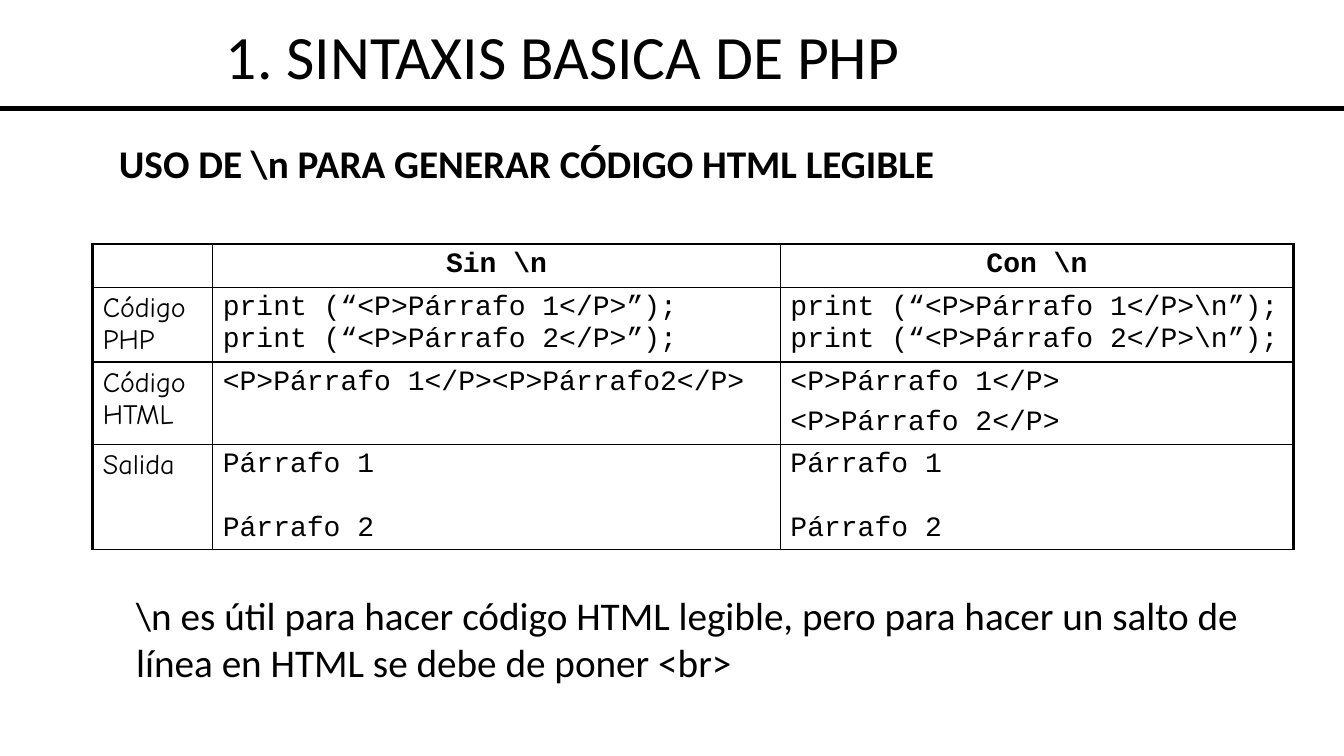
import pptx
import pptx.util
import pptx.dml.color
import pptx.enum.shapes
import pptx.enum.text
import pptx.oxml.ns
import lxml.etree

Inches, Pt = pptx.util.Inches, pptx.util.Pt
ALIGN = pptx.enum.text.PP_ALIGN
ANCHOR = pptx.enum.text.MSO_ANCHOR
qn = pptx.oxml.ns.qn

# Content
COLORS = {"ink": "000000"}
TITLE = "1. SINTAXIS BASICA DE PHP"
HEADING = "USO DE \\n PARA GENERAR CÓDIGO HTML LEGIBLE"
NOTE = ("\\n es útil para hacer código HTML legible, pero para hacer un salto de "
        "línea en HTML se debe de poner <br>")
HEADERS = ["", "Sin \\n", "Con \\n"]
# label, space before each later paragraph (points), cells as lists of lines
COMPARISON = [
    ("Código PHP", 0,
     ["print (“<P>Párrafo 1</P>”);", "print (“<P>Párrafo 2</P>”);"],
     ["print (“<P>Párrafo 1</P>\\n”);", "print (“<P>Párrafo 2</P>\\n”);"]),
    ("Código HTML", 6,
     ["<P>Párrafo 1</P><P>Párrafo2</P>"],
     ["<P>Párrafo 1</P>", "<P>Párrafo 2</P>"]),
    ("Salida", 22.6,
     ["Párrafo 1", "Párrafo 2"],
     ["Párrafo 1", "Párrafo 2"]),
]
COLUMN_WIDTHS = [1.19, 5.63, 5.09]
ROW_HEIGHTS = [0.43, 0.73, 0.82, 1.04]
THIN, THICK = 1, 2.25


def ink():
    return pptx.dml.color.RGBColor.from_string(COLORS["ink"])


def style(paragraph, font, size, bold=False, align=ALIGN.LEFT, before=0):
    paragraph.alignment = align
    paragraph.space_before = Pt(before)
    for run in paragraph.runs:
        run.font.name, run.font.size, run.font.bold = font, Pt(size), bold
        run.font.color.rgb = ink()


def fill_placeholder(placeholder, text, box, anchor, **look):
    placeholder.left, placeholder.top, placeholder.width, placeholder.height = map(Inches, box)
    frame = placeholder.text_frame
    frame.text = text
    frame.word_wrap = True
    frame.auto_size = pptx.enum.text.MSO_AUTO_SIZE.NONE
    frame.vertical_anchor = anchor
    paragraph = frame.paragraphs[0]
    style(paragraph, "Calibri", **look)
    return paragraph


def remove_bullet(paragraph):
    properties = paragraph._p.get_or_add_pPr()
    properties.set("marL", "0")
    properties.set("indent", "0")
    lxml.etree.SubElement(properties, qn("a:buNone"))


def add_borders(cell, widths):
    properties = cell._tc.get_or_add_tcPr()
    for position, (side, width) in enumerate(widths.items()):
        border = lxml.etree.Element(qn("a:" + side), w=str(Pt(width)))
        fill = lxml.etree.SubElement(border, qn("a:solidFill"))
        lxml.etree.SubElement(fill, qn("a:srgbClr"), val=COLORS["ink"])
        properties.insert(position, border)


def main():
    deck = pptx.Presentation()
    deck.slide_width, deck.slide_height = Inches(13.33), Inches(7.5)
    slide = deck.slides.add_slide(deck.slide_layouts[3])
    title, heading, note = list(slide.placeholders)[:3]

    # Title and the rule under it
    title_line = fill_placeholder(title, TITLE, (0, 0, 11.17, 0.97), ANCHOR.BOTTOM,
                                  size=44, align=ALIGN.CENTER)
    title_line.line_spacing = 0.9
    rule = slide.shapes.add_connector(pptx.enum.shapes.MSO_CONNECTOR.STRAIGHT,
                                      Inches(-0.01), Inches(1.08), Inches(13.35), Inches(1.08))
    rule.line.color.rgb = ink()
    rule.line.width = Pt(3.5)
    lxml.etree.SubElement(rule._element.spPr, qn("a:effectLst"))

    # Heading above the table and note below it
    remove_bullet(fill_placeholder(heading, HEADING, (1.08, 1.33, 8.5, 0.55), ANCHOR.TOP,
                                   size=28, bold=True, before=18))
    remove_bullet(fill_placeholder(note, NOTE, (1.25, 5.82, 11.58, 1.09), ANCHOR.TOP,
                                   size=28, before=18))

    # Comparison table
    rows = [(0, [[header] for header in HEADERS])]
    rows += [(gap, [[label], without, with_n]) for label, gap, without, with_n in COMPARISON]
    table = slide.shapes.add_table(len(rows), len(HEADERS), Inches(0.92), Inches(2.42),
                                   Inches(sum(COLUMN_WIDTHS)), Inches(sum(ROW_HEIGHTS))).table
    table.first_row = table.horz_banding = False
    for column, width in zip(table.columns, COLUMN_WIDTHS):
        column.width = Inches(width)
    for row, height in zip(table.rows, ROW_HEIGHTS):
        row.height = Inches(height)

    last_column = len(HEADERS) - 1
    for r, (gap, cells) in enumerate(rows):
        for c, lines in enumerate(cells):
            cell = table.cell(r, c)
            cell.fill.background()
            cell.text_frame.text = "\n".join(lines)
            for i, paragraph in enumerate(cell.text_frame.paragraphs):
                style(paragraph, "Courier New" if c else "Comic Neue", 20, bold=r == 0,
                      align=ALIGN.LEFT if r else ALIGN.CENTER, before=gap if i else 0)
            add_borders(cell, {"lnL": THIN if c else THICK,
                               "lnR": THICK if c == last_column else THIN,
                               "lnT": THIN, "lnB": THIN})

    deck.save("out.pptx")


if __name__ == "__main__":
    main()
